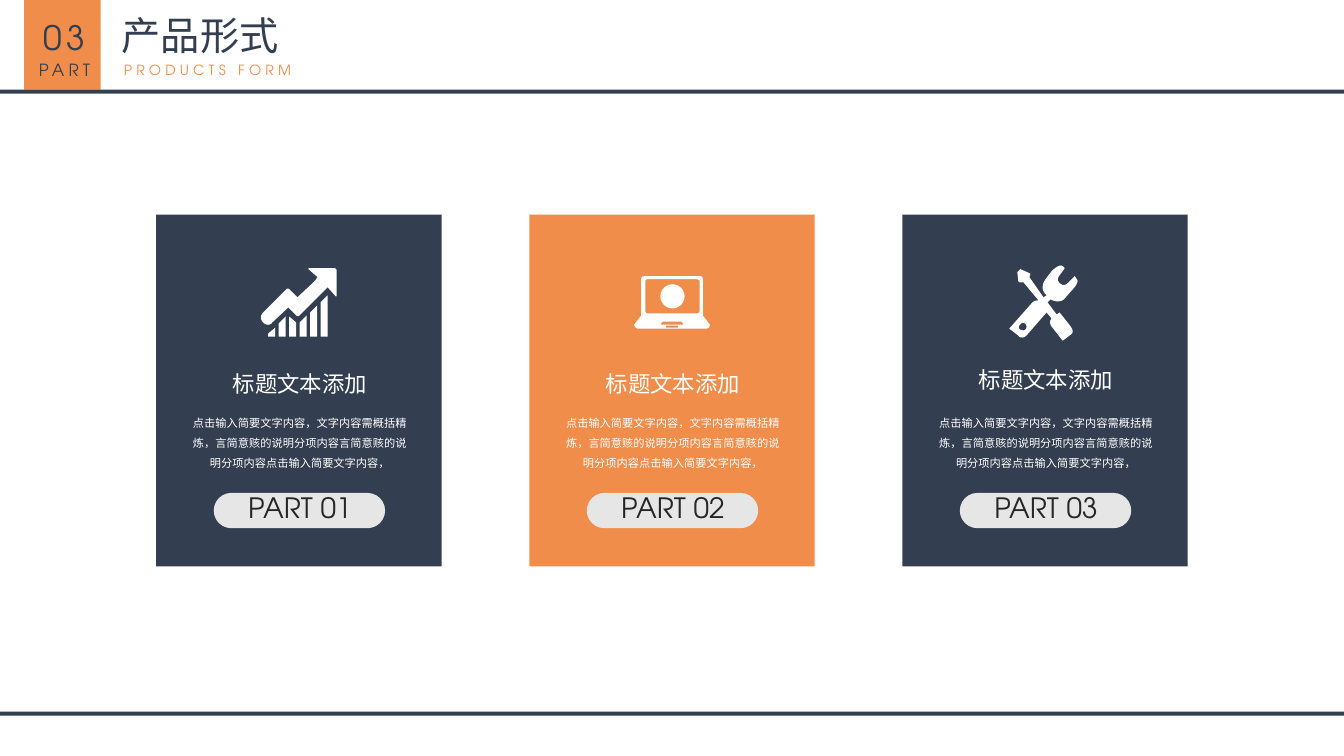
from pptx import Presentation
from pptx.dml.color import RGBColor
from pptx.enum.shapes import MSO_SHAPE
from pptx.enum.text import MSO_AUTO_SIZE, PP_ALIGN
from pptx.oxml.ns import qn
from pptx.util import Inches, Pt
from lxml.etree import SubElement

NAVY = RGBColor(0x33, 0x3F, 0x50)
ORANGE = RGBColor(0xF0, 0x8D, 0x4B)
WHITE = RGBColor(0xFF, 0xFF, 0xFF)
GREY = RGBColor(0xE7, 0xE6, 0xE6)
INK = RGBColor(0x26, 0x26, 0x26)
CJK_FONT = "Noto Sans CJK SC"
LATIN_FONT = "TeX Gyre Adventor"

CARD_TITLE = "标题文本添加"
CARD_BODY = ("点击输入简要文字内容，文字内容需概括精炼，言简意赅的说明分项内容"
             "言简意赅的说明分项内容点击输入简要文字内容，")

# Icon outlines in hundredths of an inch: pairs are corners,
# sixes are Bezier curves (two control points and an end point).
BAR_TOPS = [(65, 59), (55, 48), (48, 54), (54, 47), (44, 37), (34, 27)]
GROWTH_BARS = [
    [(7 + 10.4 * i, 68), (7 + 10.4 * i, left_top), (14 + 10.4 * i, right_top), (14 + 10.4 * i, 68)]
    for i, (left_top, right_top) in enumerate(BAR_TOPS)
]
GROWTH_ARROW = [
    (48, 0), (72, 0), (74, 0, 75, 1, 75, 3), (75, 27), (75, 28, 75, 28, 74, 28),
    (66, 19), (38, 47), (37, 48, 36, 48, 35, 47), (27, 39), (11, 54),
    (9, 57, 5, 57, 2, 54), (-1, 51, -1, 47, 2, 44), (25, 21), (26, 20, 27, 20, 28, 21),
    (36, 29), (53, 13), (56, 9), (47, 1), (47, 0, 47, 0, 48, 0),
]
LAPTOP_BODY = [
    (10, 0), (66, 0), (67, 0, 68, 1, 68, 3), (68, 39), (75, 48), (75, 50, 74, 52, 71, 52),
    (4, 52), (2, 52, 0, 50, 0, 48), (7, 39), (7, 3), (7, 1, 8, 0, 10, 0),
]
LAPTOP_SCREEN = [
    (13, 3), (12, 3, 11, 4, 11, 5), (11, 34), (11, 36, 12, 37, 13, 37),
    (62, 37), (63, 37, 65, 36, 65, 34), (65, 5), (65, 4, 63, 3, 62, 3),
]
LAPTOP_KEYS = [(28, 45), (26, 48), (49, 48), (47, 45)]
LAPTOP_PAD = [(32, 49), (31, 49, 31, 51, 32, 51), (43, 51), (44, 51, 44, 49, 43, 49)]
CROSSED_TOOLS = [
    (67, 15), (65, 12), (58, 18, 56, 24, 50, 19), (45, 14, 51, 11, 55, 4),
    (55, 4, 54, 3, 53, 2), (51, 0, 46, 3, 42, 7), (36, 15), (32, 20, 32, 27, 37, 31),
    (34, 33), (20, 13), (20, 12, 22, 10, 20, 9), (11, 5), (8, 8), (8, 8, 9, 17, 9, 17),
    (10, 19, 12, 18, 14, 18), (29, 36), (26, 36, 24, 37, 23, 38), (0, 64), (9, 71),
    (11, 74, 15, 73, 17, 71), (37, 48), (42, 54), (40, 56, 40, 59, 42, 62), (53, 76),
    (61, 70), (64, 68, 63, 65, 61, 62), (50, 48), (47, 50), (38, 38), (41, 35),
    (46, 38, 53, 38, 56, 33), (63, 25), (67, 21, 69, 16, 67, 15),
]
TOOL_HOLE = [
    (16, 65), (15, 66, 13, 66, 11, 65), (9, 64, 9, 61, 11, 60),
    (12, 58, 14, 58, 16, 59), (17, 61, 18, 63, 16, 65),
]


def fill_plain(shape, color):
    shape.shadow.inherit = False
    shape.fill.solid()
    shape.fill.fore_color.rgb = color
    shape.line.fill.background()


def add_block(page, kind, box, color):
    shape = page.shapes.add_shape(kind, *map(Inches, box))
    fill_plain(shape, color)
    return shape


def add_text(page, box, *lines, font=CJK_FONT, color=WHITE, align=PP_ALIGN.CENTER,
             line_spacing=None, tracking=None, wrap=True):
    """Each line is a pair of text and point size."""
    frame = page.shapes.add_textbox(*map(Inches, box)).text_frame
    frame.word_wrap = wrap
    frame.auto_size = MSO_AUTO_SIZE.SHAPE_TO_FIT_TEXT
    for index, (text, size) in enumerate(lines):
        para = frame.add_paragraph() if index else frame.paragraphs[0]
        para.alignment = align
        para.line_spacing = line_spacing
        span = para.add_run()
        span.text = text
        span.font.size = Pt(size)
        span.font.color.rgb = color
        span.font.name = font
        properties = span.font._element
        SubElement(properties, qn("a:ea")).set("typeface", font)
        if tracking:
            properties.set("spc", str(tracking * 100))


def flatten(outline, steps=6):
    """Turn an outline with curves into a list of corner points."""
    points = []
    for part in outline:
        if len(part) == 2:
            points.append(part)
            continue
        start, ends = points[-1], (part[:2], part[2:4], part[4:])
        for step in range(1, steps + 1):
            t = step / steps
            u = 1 - t
            weights = (u ** 3, 3 * u * u * t, 3 * u * t * t, t ** 3)
            points.append(tuple(
                sum(w * p[axis] for w, p in zip(weights, (start, *ends))) for axis in (0, 1)))
    return points


def add_icon(page, left, top, outlines):
    unit = Inches(0.01)
    builder = None
    for outline in outlines:
        points = [(x * unit, y * unit) for x, y in flatten(outline)]
        if builder is None:
            builder = page.shapes.build_freeform(*points[0])
        else:
            builder.move_to(*points[0])
        builder.add_line_segments(points[1:], close=True)
    fill_plain(builder.convert_to_shape(Inches(left), Inches(top)), WHITE)


def add_header(page, box):
    left, top, width, height = box
    # Section number
    add_block(page, MSO_SHAPE.RECTANGLE, (left + 0.24, top, 0.76, height), ORANGE)
    add_text(page, (left + 0.24, top + 0.06, 0.8, 0.77), ("03", 24), ("PART", 12),
             font=LATIN_FONT, color=NAVY, line_spacing=1.14, tracking=3)
    # Titles
    add_text(page, (left + 1.11, top + 0.06, 1.77, 0.57), ("产品形式", 28),
             color=NAVY, align=PP_ALIGN.LEFT, wrap=False)
    add_text(page, (left + 1.13, top + 0.54, 2.91, 0.28), ("PRODUCTS FORM", 10),
             font=LATIN_FONT, color=ORANGE, align=PP_ALIGN.LEFT, line_spacing=1.14, tracking=3)
    add_rule(page, (left, top + height, width, 0.04))


def add_rule(page, box):
    add_block(page, MSO_SHAPE.RECTANGLE, box, NAVY)


def add_card(page, box, color, label, icon, icon_at, title_top):
    left, top, width, height = box
    add_block(page, MSO_SHAPE.RECTANGLE, box, color)
    add_icon(page, left + icon_at[0], top + icon_at[1], icon)
    add_text(page, (left + 0.22, top + 1.88, 2.41, 0.69), (CARD_BODY, 8), line_spacing=1.5)
    add_text(page, (left + 0.36, top + title_top, 2.13, 0.37), (CARD_TITLE, 16))
    # Part label on a pill
    pill = add_block(page, MSO_SHAPE.ROUNDED_RECTANGLE, (left + 0.57, top + 2.76, 1.7, 0.35), GREY)
    pill.adjustments[0] = 0.5
    add_text(page, (left + 0.57, top + 2.69, 1.71, 0.44), (label, 20), font=LATIN_FONT, color=INK)


def main():
    deck = Presentation()
    deck.slide_width, deck.slide_height = Inches(13.33), Inches(7.5)
    page = deck.slides.add_slide(deck.slide_layouts[6])

    # Product cards
    cards = [
        (NAVY, [*GROWTH_BARS, GROWTH_ARROW], (1.04, 0.53), 1.49),
        (ORANGE, [LAPTOP_BODY, LAPTOP_SCREEN, LAPTOP_KEYS, LAPTOP_PAD], (1.04, 0.61), 1.49),
        (NAVY, [CROSSED_TOOLS, TOOL_HOLE], (1.06, 0.49), 1.45),
    ]
    for index, (color, icon, icon_at, title_top) in enumerate(cards):
        box = (1.55 + 3.7 * index, 2.13, 2.83, 3.49)
        add_card(page, box, color, f"PART {index + 1:02d}", icon, icon_at, title_top)
    # Plain emblem on the laptop screen
    add_block(page, MSO_SHAPE.OVAL, (6.55, 2.82, 0.24, 0.24), WHITE)

    # Header and footer
    add_header(page, (0, 0, 13.33, 0.89))
    add_rule(page, (0, 7.06, 13.33, 0.04))
    deck.save("out.pptx")


if __name__ == "__main__":
    main()
